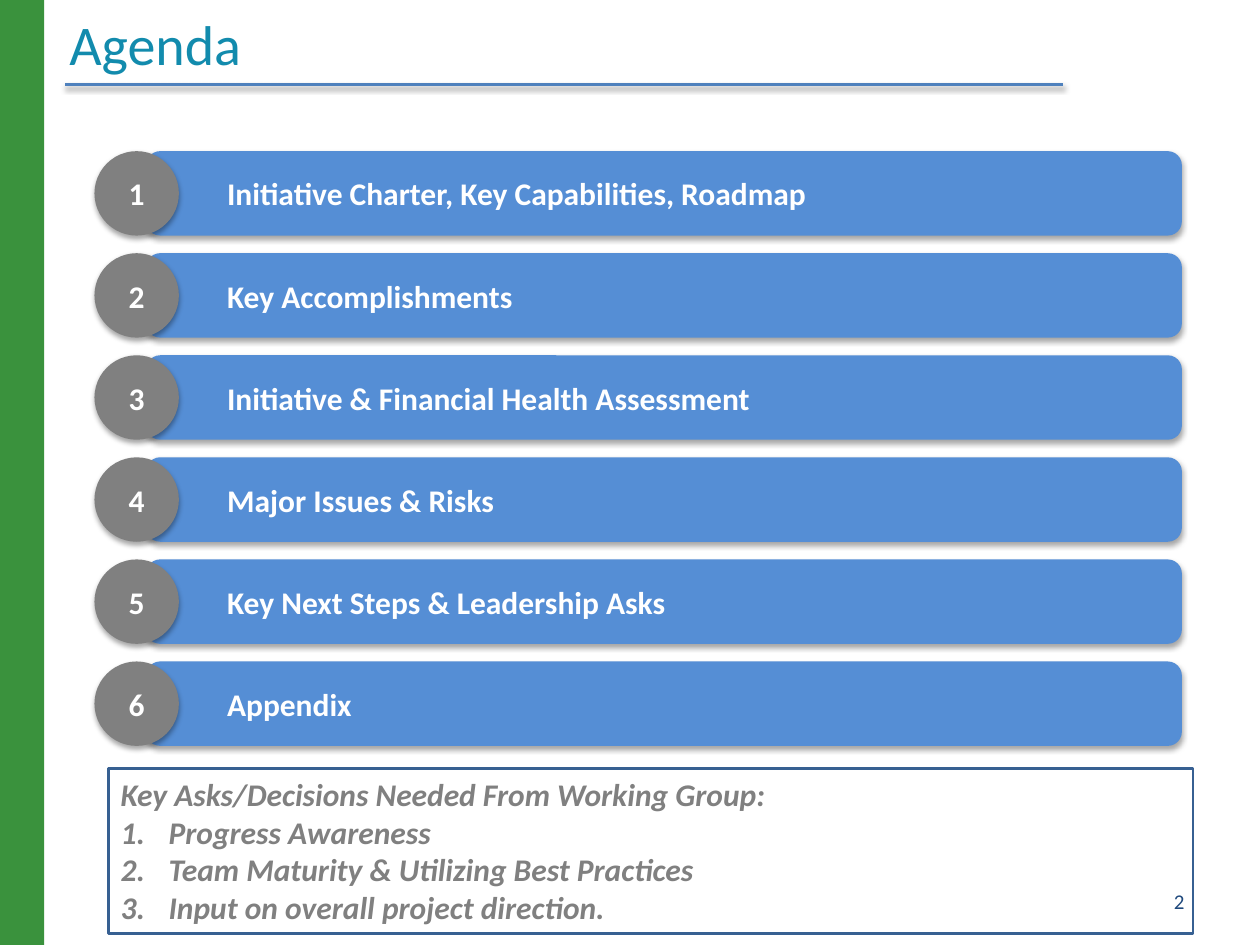
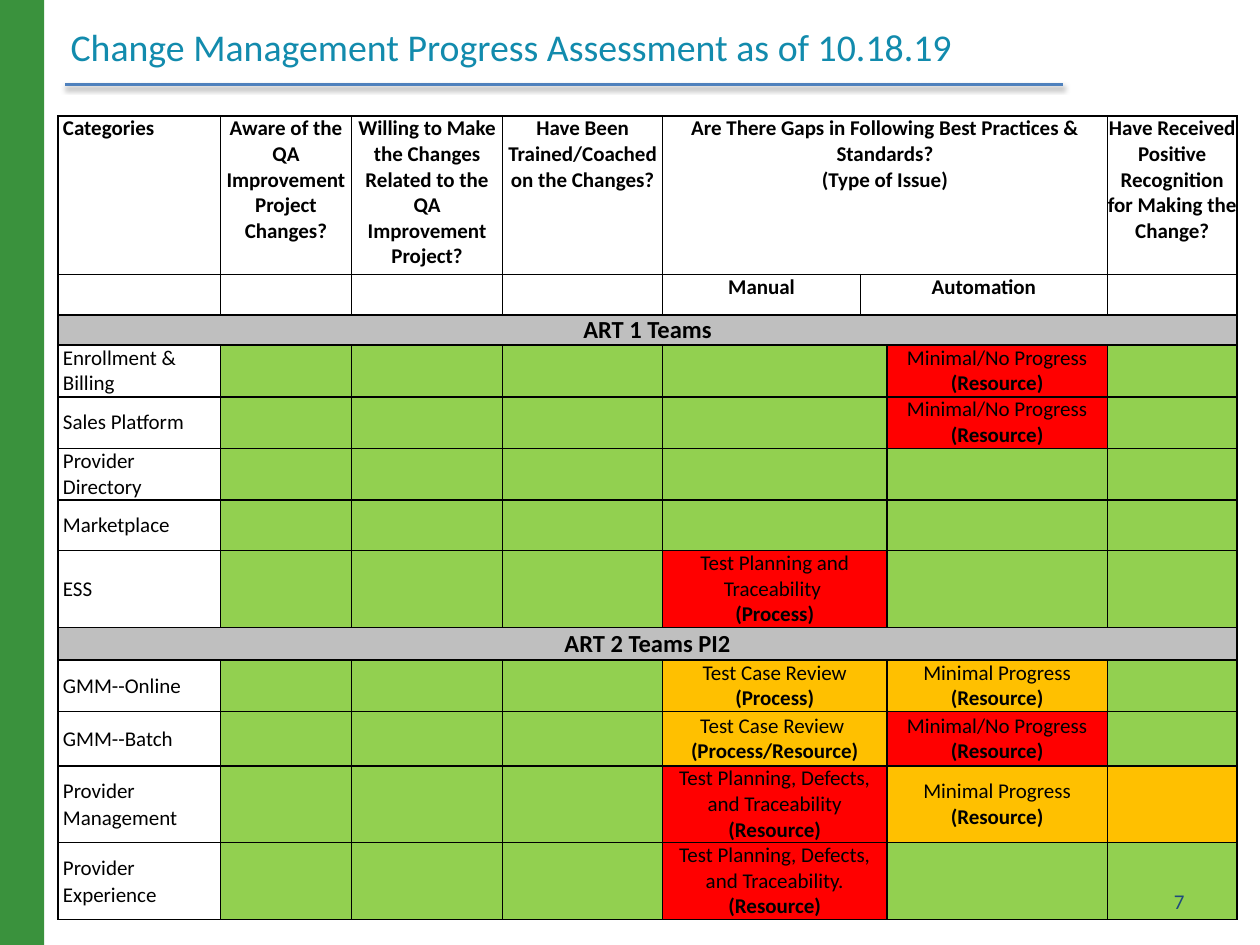
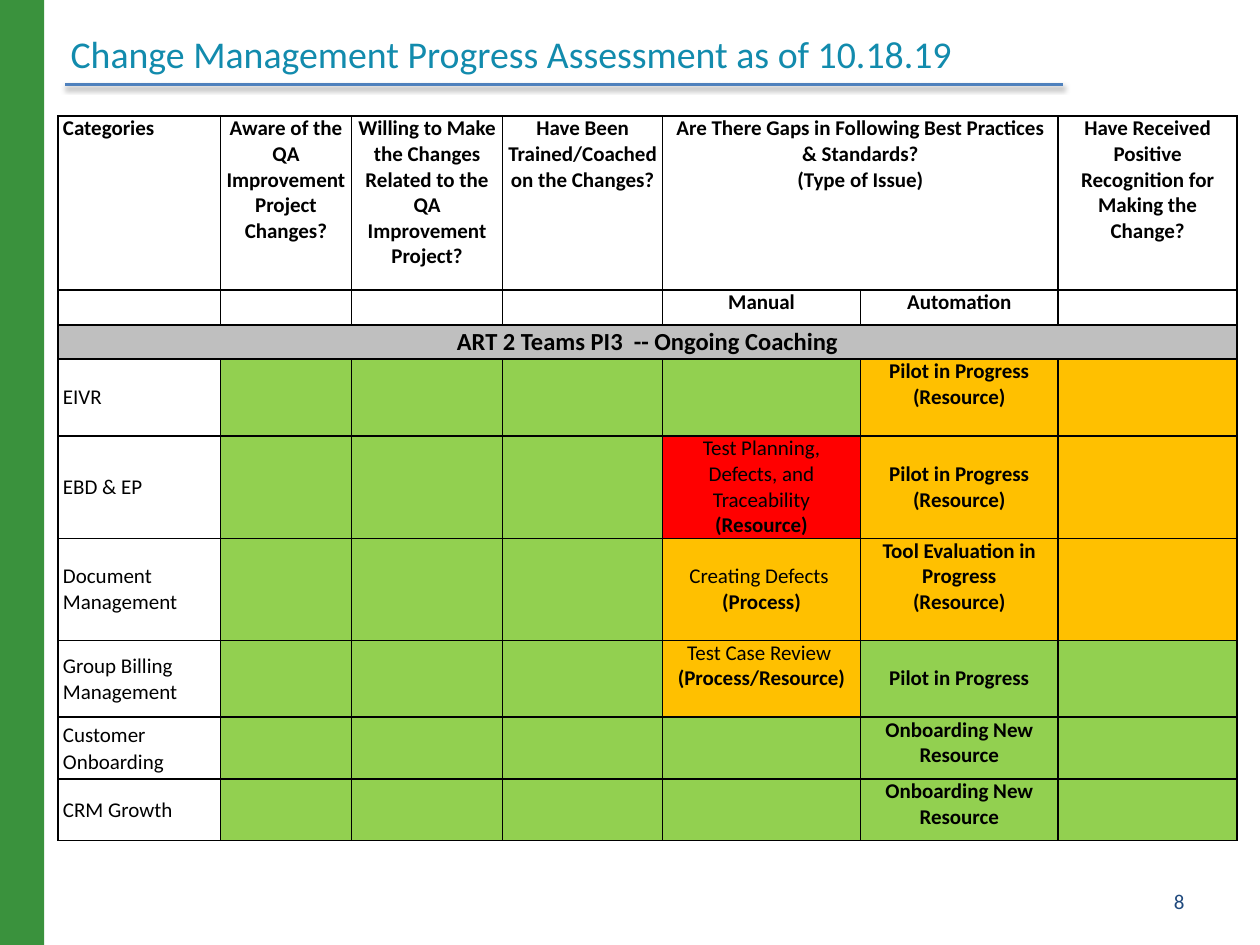
"""Build an agenda slide and two change management assessment tables."""
from lxml import etree
from pptx import Presentation
from pptx.dml.color import RGBColor
from pptx.enum.shapes import MSO_CONNECTOR, MSO_SHAPE
from pptx.enum.text import MSO_ANCHOR, MSO_AUTO_SIZE, PP_ALIGN
from pptx.oxml.ns import qn
from pptx.util import Inches, Pt

RECTANGLE, ROUNDED, OVAL = MSO_SHAPE.RECTANGLE, MSO_SHAPE.ROUNDED_RECTANGLE, MSO_SHAPE.OVAL
TOP, MIDDLE, BOTTOM = MSO_ANCHOR.TOP, MSO_ANCHOR.MIDDLE, MSO_ANCHOR.BOTTOM
LEFT, CENTER, RIGHT = PP_ALIGN.LEFT, PP_ALIGN.CENTER, PP_ALIGN.RIGHT
STRAIGHT = MSO_CONNECTOR.STRAIGHT
NO_FIT, FIT_SHAPE = MSO_AUTO_SIZE.NONE, MSO_AUTO_SIZE.SHAPE_TO_FIT_TEXT

COLORS = {
    "band": "3A923D", "rule": "4F81BD", "title": "128BAD", "page": "1F497D",
    "bar": "558ED5", "gray": "808080", "outline": "376092",
    "white": "FFFFFF", "black": "000000", "section": "BFBFBF",
    "G": "92D050", "R": "FF0000", "A": "FFC000",
}
FONT = "Calibri"

AGENDA = [
    "Initiative Charter, Key Capabilities, Roadmap",
    "Key Accomplishments",
    "Initiative & Financial Health Assessment",
    "Major Issues & Risks",
    "Key Next Steps & Leadership Asks",
    "Appendix",
]
ASKS_HEADING = "Key Asks/Decisions Needed From Working Group:"
ASKS = [
    "Progress Awareness ",
    "Team Maturity & Utilizing Best Practices",
    "Input on overall project direction.",
]

ASSESSMENT_TITLE = "Change Management Progress Assessment as of 10.18.19"
HEADINGS = [
    "Categories",
    "Aware of the QA Improvement Project Changes?",
    "Willing to Make the Changes Related to the QA Improvement Project?",
    "Have Been Trained/Coached on the Changes?",
    "Are There Gaps in Following Best Practices & Standards?\n(Type of Issue)",
    "Have Received Positive Recognition for Making the Change?",
]
MINIMAL = "Minimal Progress\n(Resource)"
NO_PROGRESS = "Minimal/No Progress\n(Resource)"
PILOT = "Pilot in Progress\n(Resource)"
ONBOARDING = "Onboarding New Resource"

ASSESSMENTS = [
    {
        "page": "7", "title_top": 0.26, "last_margin": 0,
        "widths": [1.29, 1.04, 1.2, 1.27, 1.57, 0.21, 1.75, 1.03],
        "heights": [1.26, 0.32, 0.24, 0.41, 0.41, 0.41, 0.4, 0.61, 0.26, 0.41, 0.43, 0.61, 0.61],
        "spans": [(0, 0), (1, 1), (2, 2), (3, 3), (4, 5), (6, 6), (7, 7)],
        "automation": (5, 6), "loose_from": 9, "bold": False, "raised": set(),
        "rows": [
            "ART 1 Teams",
            ("Enrollment & Billing", "GGGGRG", "", NO_PROGRESS),
            ("Sales Platform", "GGGGRG", "", NO_PROGRESS),
            ("Provider Directory", "GGGGGG", "", ""),
            ("Marketplace", "GGGGGG", "", ""),
            ("ESS", "GGGRGG", "Test Planning and Traceability \n(Process)", ""),
            "ART 2 Teams PI2",
            ("GMM--Online", "GGGAAG", "Test Case Review |(Process)", MINIMAL),
            ("GMM--Batch", "GGGARG", "Test Case Review\u00a0\n(Process/Resource)", NO_PROGRESS),
            ("Provider Management", "GGGRAA",
             "Test Planning, Defects, and Traceability |(Resource)", MINIMAL),
            ("Provider Experience", "GGGRGG",
             "Test Planning, Defects, and Traceability. |(Resource)", ""),
        ],
    },
    {
        "page": "8", "title_top": 0.31, "last_margin": 0.04,
        "widths": [1.29, 1.04, 1.2, 1.27, 1.57, 1.57, 1.42],
        "heights": [1.38, 0.28, 0.27, 0.61, 0.81, 0.81, 0.61, 0.49, 0.49],
        "spans": [(column, column) for column in range(7)],
        "automation": (5, 5), "loose_from": 6, "bold": True,
        "raised": {PILOT: "EIVR", "Tool Evaluation in Progress\n(Resource)": "Document Management",
                   "Test Case Review \n(Process/Resource)": "Group Billing Management",
                   ONBOARDING: "Customer Onboarding, CRM Growth"},
        "rows": [
            "ART 2 Teams PI3  -- Ongoing Coaching",
            ("EIVR", "GGGGAA", "", PILOT),
            ("EBD & EP", "GGGRAA",
             "Test Planning, Defects, and Traceability |(Resource)", PILOT),
            ("Document Management", "GGGAAA", "Creating Defects \n(Process)",
             "Tool Evaluation in Progress\n(Resource)"),
            ("Group Billing Management", "GGGAGG",
             "Test Case Review \n(Process/Resource)", "Pilot in Progress"),
            ("Customer Onboarding", "GGGGGG", "", ONBOARDING),
            ("CRM Growth", "GGGGGG", "", ONBOARDING),
        ],
    },
]


def rgb(name):
    return RGBColor.from_string(COLORS[name])


def inches(*values):
    return [Inches(value) for value in values]


def apply(target, **values):
    for name, value in values.items():
        setattr(target, name, value)


def write(frame, text, size, color, align=LEFT, bold=False, italic=False, spacing=None):
    """Write newline-separated paragraphs whose runs are split at bars."""
    for index, line in enumerate(text.split("\n")):
        para = frame.add_paragraph() if index else frame.paragraphs[0]
        apply(para, alignment=align, line_spacing=spacing)
        for part in line.split("|"):
            span = para.add_run()
            span.text = part
            apply(span.font, name=FONT, size=Pt(size), italic=italic,
                  bold=bold or part.startswith("("))
            span.font.color.rgb = rgb(color)


def cast_shadow(shape, opacity, distance):
    effects = etree.SubElement(shape.element.spPr, qn("a:effectLst"))
    shadow = etree.SubElement(effects, qn("a:outerShdw"), blurRad=str(Pt(3.1)),
                              dist=str(Pt(distance)), dir="5400000", rotWithShape="0")
    tint = etree.SubElement(shadow, qn("a:srgbClr"), val=COLORS["black"])
    etree.SubElement(tint, qn("a:alpha"), val=str(opacity * 1000))


def add_block(shapes, kind, place, color):
    block = shapes.add_shape(kind, *inches(*place))
    block.fill.solid()
    block.fill.fore_color.rgb = rgb(color)
    block.line.fill.background()
    return block


def decorate_layout(layout, slide):
    """Draw the side band and title rule once and move them to the layout."""
    band = add_block(slide.shapes, RECTANGLE, (0, 0, 0.35, 7.5), "band")
    band.shadow.inherit = False
    rule = slide.shapes.add_connector(STRAIGHT, *inches(0.52, 0.67, 8.44, 0.67))
    rule.line.color.rgb = rgb("rule")
    rule.line.width = Pt(2)
    cast_shadow(rule, 38, 1.6)
    for shape in (rule, band):
        layout.shapes.element.insert(2, shape.element)


def set_title(slide, text, place, size):
    title = slide.shapes.title
    apply(title, **dict(zip(("left", "top", "width", "height"), inches(*place))))
    apply(title.text_frame, vertical_anchor=BOTTOM, auto_size=NO_FIT, word_wrap=True)
    write(title.text_frame, text, size, "title")


def add_page_number(slide, number):
    box = slide.shapes.add_textbox(*inches(7.17, 6.95, 2.33, 0.4))
    apply(box.text_frame, vertical_anchor=MIDDLE, word_wrap=True)
    write(box.text_frame, number, 12, "page", RIGHT)


def add_agenda_item(slide, index, text):
    top, height = 1.2 + 0.81 * index, 0.67
    shapes = slide.shapes.add_group_shape().shapes
    bar = add_block(shapes, ROUNDED, (1.16, top, 8.22, height), "bar")
    badge = add_block(shapes, OVAL, (0.75, top, height, height), "gray")
    bar.text_frame.margin_left = Inches(0.61)
    for shape, words, align in ((bar, text, LEFT), (badge, str(index + 1), CENTER)):
        cast_shadow(shape, 35, 1.8)
        apply(shape.text_frame, vertical_anchor=MIDDLE, word_wrap=True)
        write(shape.text_frame, words, 18, "white", align, bold=True)


def add_asks(slide):
    box = slide.shapes.add_shape(RECTANGLE, *inches(0.86, 6.1, 8.61, 1.31))
    box.shadow.inherit = False
    box.fill.background()
    box.line.color.rgb = rgb("outline")
    box.line.width = Pt(1.5)
    frame = box.text_frame
    apply(frame, vertical_anchor=TOP, word_wrap=True, auto_size=FIT_SHAPE)
    write(frame, "\n".join([ASKS_HEADING, *ASKS]), 18, "gray", bold=True, italic=True)
    for para in frame.paragraphs[1:]:
        properties = para._p.get_or_add_pPr()
        properties.set("marL", str(Inches(0.38)))
        properties.set("indent", str(-Inches(0.38)))
        etree.SubElement(properties, qn("a:buFont"), typeface="+mj-lt")
        etree.SubElement(properties, qn("a:buAutoNum"), type="arabicPeriod")


def prepare_cell(cell):
    """Give a cell black borders, narrow margins and a small empty line."""
    properties = cell._tc.get_or_add_tcPr()
    for side in ("lnL", "lnR", "lnT", "lnB"):
        border = etree.SubElement(properties, qn("a:" + side), w=str(Pt(1)))
        paint = etree.SubElement(border, qn("a:solidFill"))
        etree.SubElement(paint, qn("a:srgbClr"), val=COLORS["black"])
    cell.fill.background()
    apply(cell, margin_left=Inches(0.04), margin_right=Inches(0.04),
          margin_top=0, margin_bottom=0)
    etree.SubElement(cell.text_frame.paragraphs[0]._p, qn("a:endParaRPr"), sz="1200")


def fill_cell(table, row, span, text="", color=None, anchor=MIDDLE, size=12, **style):
    first, last = span
    cell = table.cell(row, first)
    if last > first:
        cell.merge(table.cell(row, last))
    if color:
        cell.fill.solid()
        cell.fill.fore_color.rgb = rgb(color)
    cell.vertical_anchor = anchor
    if text:
        write(cell.text_frame, text, size, "black", **style)
    return cell


def add_assessment(slide, data):
    widths, heights, spans = data["widths"], data["heights"], data["spans"]
    frame = slide.shapes.add_table(len(heights), len(widths),
                                   *inches(0.46, 0.92, sum(widths), sum(heights)))
    table = frame.table
    apply(table, first_row=False, horz_banding=False)
    for column, width in zip(table.columns, widths):
        column.width = Inches(width)
    for row, height in zip(table.rows, heights):
        row.height = Inches(height)
    for cell in table.iter_cells():
        prepare_cell(cell)

    last = len(widths) - 1
    heading_spans = [*spans[:4], (4, last - 1), (last, last)]
    for index, (span, text) in enumerate(zip(heading_spans, HEADINGS)):
        cell = fill_cell(table, 0, span, text, anchor=TOP, bold=True,
                         align=CENTER if index else LEFT)
    apply(cell, margin_left=Inches(data["last_margin"]),
          margin_right=Inches(data["last_margin"]))
    for span, text in (((4, 4), "Manual"), (data["automation"], "Automation")):
        fill_cell(table, 1, span, text, anchor=TOP, bold=True, align=CENTER)

    for row, entry in enumerate(data["rows"], 2):
        if isinstance(entry, str):
            fill_cell(table, row, (0, last), entry, "section", size=14, bold=True, align=CENTER)
            continue
        name, ratings, manual, automation = entry
        fill_cell(table, row, spans[0], name,
                  spacing=1.05 if row >= data["loose_from"] else None)
        texts = ["", "", "", manual, automation, ""]
        for column, (span, rating, text) in enumerate(zip(spans[1:], ratings, texts)):
            raised = text in data["raised"] and name in data["raised"][text]
            fill_cell(table, row, span, text, rating, TOP if raised else MIDDLE,
                      align=CENTER, bold=data["bold"] and column == 4)


deck = Presentation()
apply(deck, slide_width=Inches(10), slide_height=Inches(7.5))
title_only = deck.slide_layouts[5]

agenda = deck.slides.add_slide(title_only)
decorate_layout(title_only, agenda)
set_title(agenda, "Agenda", (0.45, 0.06, 8.72, 0.6), 32)
for position, item in enumerate(AGENDA):
    add_agenda_item(agenda, position, item)
add_asks(agenda)
add_page_number(agenda, "2")

for assessment in ASSESSMENTS:
    page = deck.slides.add_slide(title_only)
    set_title(page, ASSESSMENT_TITLE, (0.46, assessment["title_top"], 8.72, 0.34), 21.6)
    add_assessment(page, assessment)
    add_page_number(page, assessment["page"])

deck.save("out.pptx")
